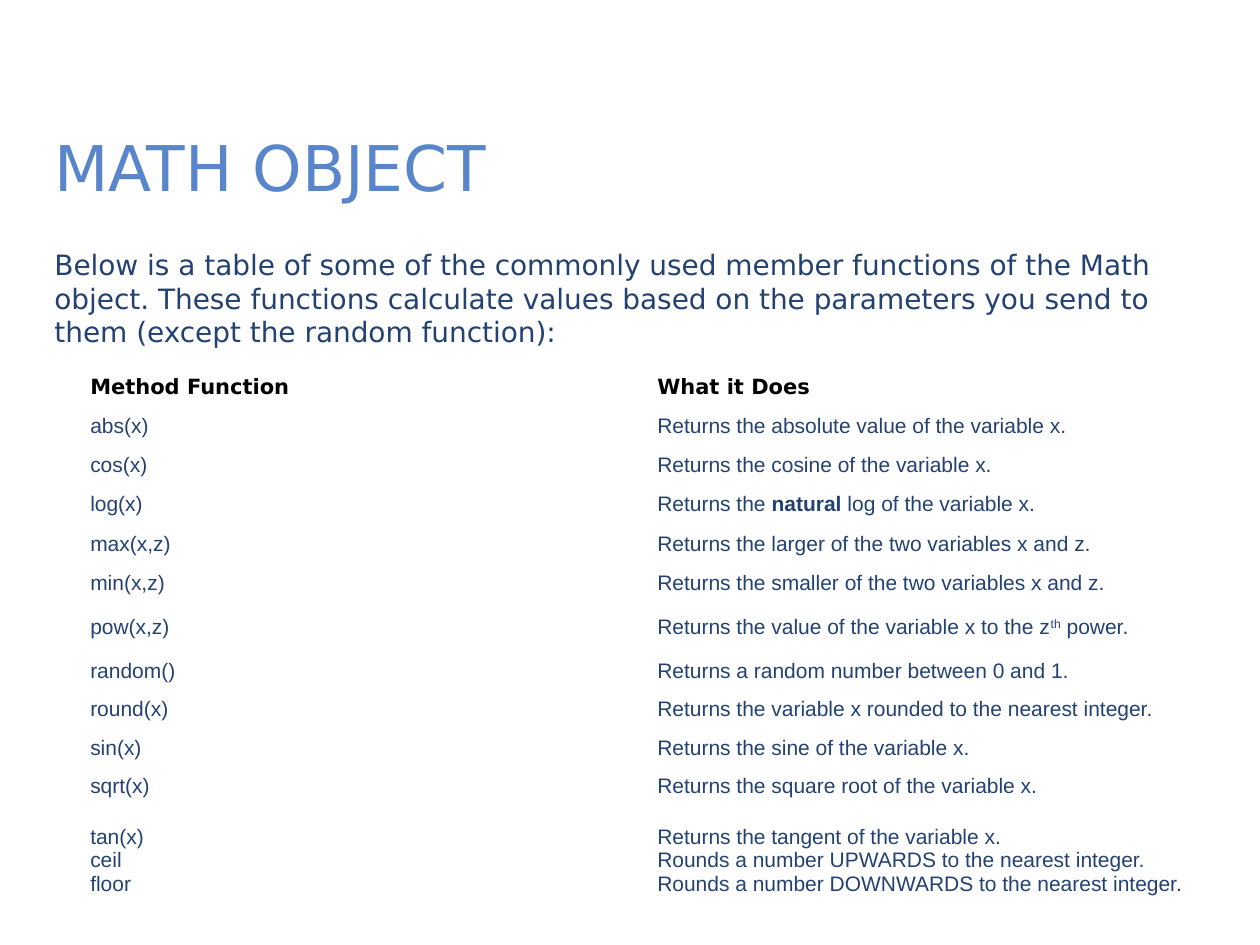
import pptx
import pptx.dml.color
import pptx.enum.text
import pptx.util
from dataclasses import dataclass

Pt = pptx.util.Pt
Anchor = pptx.enum.text.MSO_ANCHOR


@dataclass(frozen=True)
class Theme:
    white: str = "FFFFFF"
    black: str = "000000"
    navy: str = "234171"
    blue: str = "5985CB"
    heading_font: str = "DejaVu Sans"
    body_font: str = "Arial"
    title_size: int = 36
    intro_size: int = 16
    table_size: int = 12


def color(value):
    return pptx.dml.color.RGBColor.from_string(value)


class SlideBuilder:
    def __init__(self, slide, theme):
        self.slide = slide
        self.theme = theme

    def style(self, name, size, tint, bold=False):
        return {"name": name, "size": Pt(size), "bold": bold, "color": tint}

    def add_span(self, para, text, formats):
        span = para.add_run()
        span.text = text
        for key, value in formats.items():
            if key == "color":
                span.font.color.rgb = color(value)
            elif key == "baseline":
                span.font._element.set("baseline", str(value))
            else:
                setattr(span.font, key, value)

    def fill_frame(self, frame, lines, formats):
        for index, line in enumerate(lines):
            para = frame.add_paragraph() if index else frame.paragraphs[0]
            spans = [(line, {})] if isinstance(line, str) else line
            for text, changes in spans:
                self.add_span(para, text, {**formats, **changes})

    def text(self, left, top, width, height, text, formats,
             anchor=Anchor.TOP, spacing=None):
        area = [Pt(value) for value in (left, top, width, height)]
        frame = self.slide.shapes.add_textbox(*area).text_frame
        frame.word_wrap = True
        frame.vertical_anchor = anchor
        self.fill_frame(frame, [text], formats)
        for key, value in (spacing or {}).items():
            setattr(frame.paragraphs[0], key, value)

    def table(self, left, top, column_width, heights, rows):
        theme = self.theme
        columns = len(rows[0])
        area = [Pt(value) for value in
                (left, top, column_width * columns, sum(heights))]
        table = self.slide.shapes.add_table(len(rows), columns, *area).table
        table.first_row = False
        table.horz_banding = False
        for column in table.columns:
            column.width = Pt(column_width)
        header = self.style(theme.heading_font, theme.table_size, theme.black, True)
        body = self.style(theme.body_font, theme.table_size, theme.navy)
        cell_format = {"vertical_anchor": Anchor.MIDDLE}
        for side in ("left", "right", "top", "bottom"):
            cell_format["margin_" + side] = Pt(3.6)
        for index, row in enumerate(rows):
            table.rows[index].height = Pt(heights[index])
            for cell, lines in zip(table.rows[index].cells, row):
                for key, value in cell_format.items():
                    setattr(cell, key, value)
                cell.fill.solid()
                cell.fill.fore_color.rgb = color(theme.white)
                self.fill_frame(cell.text_frame, lines, body if index else header)


FUNCTIONS = [
    (["Method Function"], ["What it Does"]),
    (["abs(x)"], ["Returns the absolute value of the variable x."]),
    (["cos(x)"], ["Returns the cosine of the variable x."]),
    (["log(x)"], [[("Returns the ", {}), ("natural", {"bold": True}),
                   (" log of the variable x.", {})]]),
    (["max(x,z)"], ["Returns the larger of the two variables x and z."]),
    (["min(x,z)"], ["Returns the smaller of the two variables x and z."]),
    (["pow(x,z)"], [[("Returns the value of the variable x to the z", {}),
                     ("th", {"baseline": 30000}), (" power.", {})]]),
    (["random()"], ["Returns a random number between 0 and 1."]),
    (["round(x)"], ["Returns the variable x rounded to the nearest integer."]),
    (["sin(x)"], ["Returns the sine of the variable x."]),
    (["sqrt(x)"], ["Returns the square root of the variable x."]),
    (["tan(x)", "ceil", "floor"],
     ["Returns the tangent of the variable x.",
      "Rounds a number UPWARDS to the nearest integer.",
      "Rounds a number DOWNWARDS to the nearest integer."]),
]
INTRO = ("Below is a table of some of the commonly used member functions of the "
         "Math object. These functions calculate values based on the parameters "
         "you send to them (except the random function):")


def main():
    deck = pptx.Presentation()
    deck.slide_width, deck.slide_height = Pt(720), Pt(540)
    theme = Theme()
    page = SlideBuilder(deck.slides.add_slide(deck.slide_layouts[6]), theme)
    page.text(24, 66, 654, 54, "MATH OBJECT",
              page.style(theme.heading_font, theme.title_size, theme.blue),
              anchor=Anchor.BOTTOM)
    page.text(24, 138, 672, 348, INTRO,
              page.style(theme.heading_font, theme.intro_size, theme.navy),
              spacing={"space_before": Pt(4), "space_after": Pt(6)})
    heights = [22.4] * 6 + [28] + [22] * 4 + [62.4]
    page.table(48, 210, 324, heights, FUNCTIONS)
    deck.save("out.pptx")


if __name__ == "__main__":
    main()
